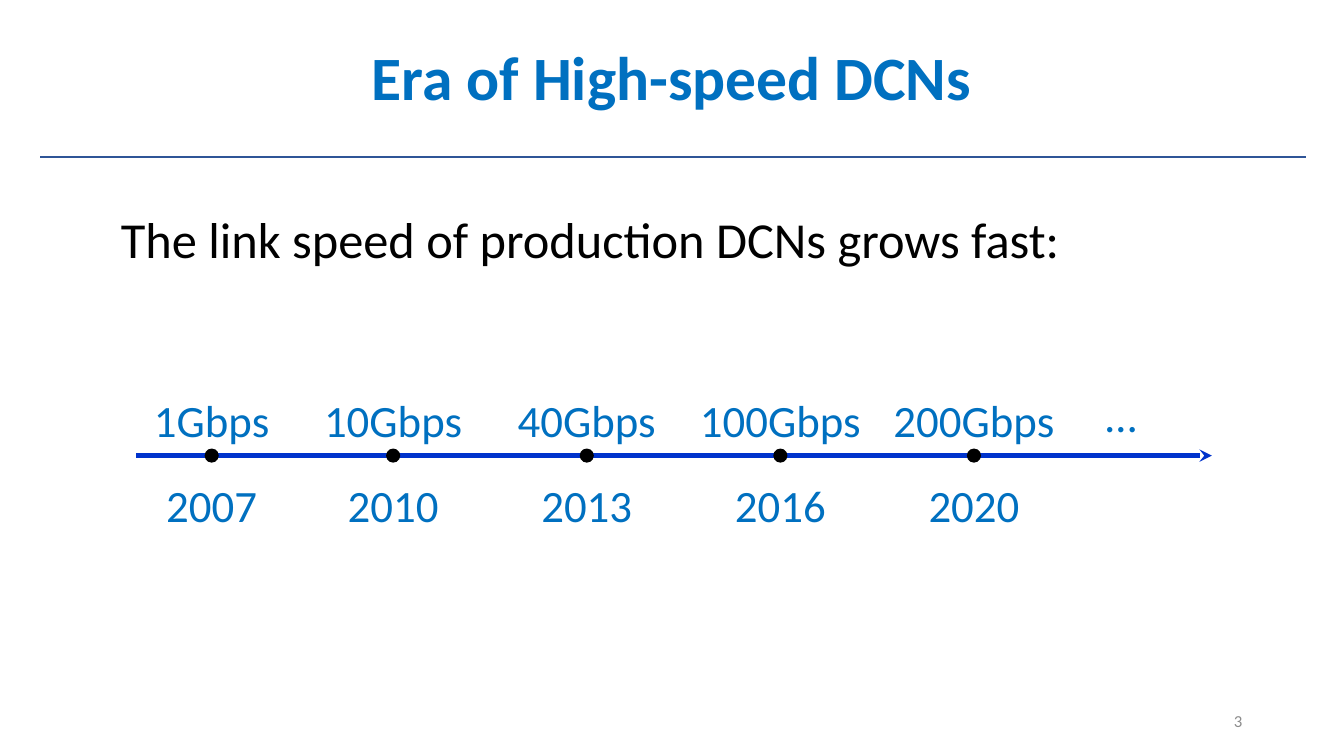
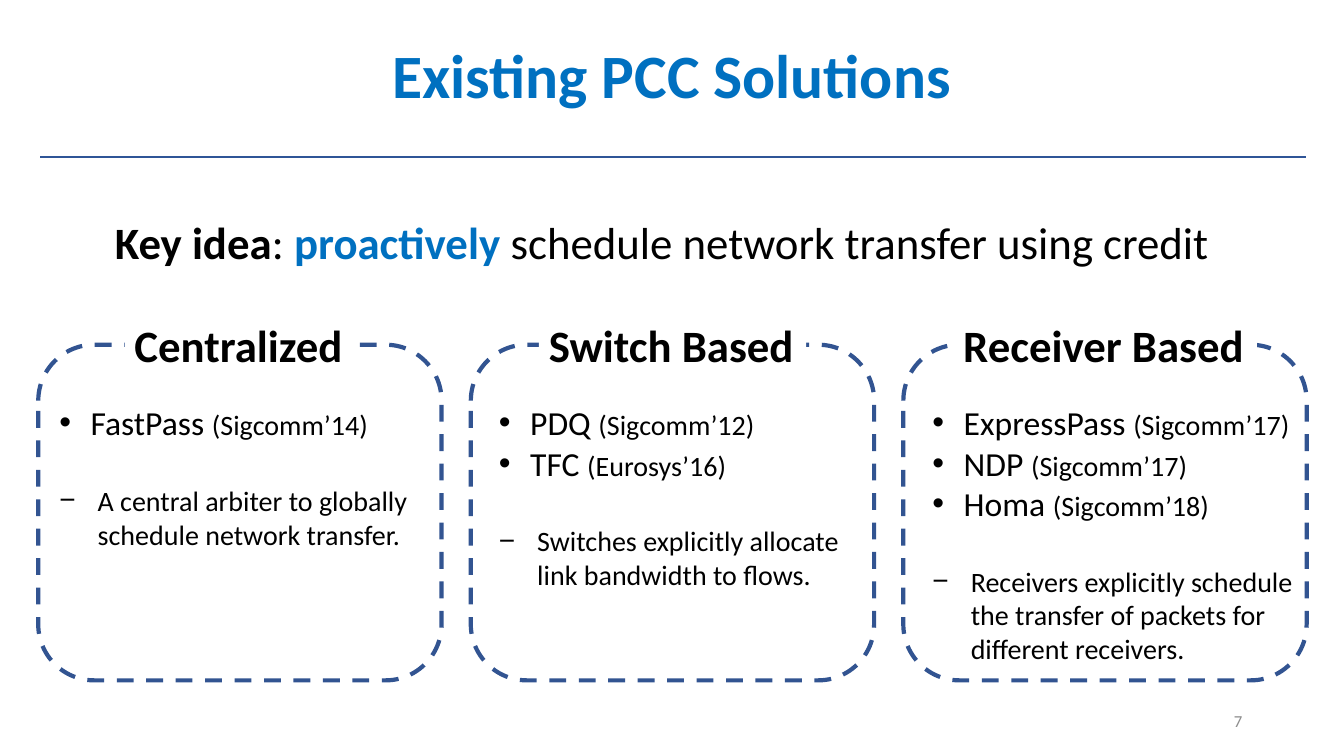
"""Build two slides on high-speed data centre networks and proactive congestion control."""
from dataclasses import dataclass
from typing import NamedTuple

from lxml.etree import SubElement
from pptx import Presentation
from pptx.dml.color import RGBColor
from pptx.enum.dml import MSO_LINE
from pptx.enum.shapes import MSO_CONNECTOR, MSO_SHAPE
from pptx.enum.text import MSO_ANCHOR, MSO_AUTO_SIZE, PP_ALIGN
from pptx.oxml.ns import qn
from pptx.util import Inches, Pt

FONT = "Calibri"
BLUE, BLACK, WHITE, GREY = "0070C0", "000000", "FFFFFF", "8C8C8C"
RULE, AXIS, DASH = "2F5597", "0033CC", "325491"
WIDTH, HEIGHT = 13.33, 7.5


class Run(NamedTuple):
    text: str
    size: float
    color: str = BLACK
    bold: bool = False


@dataclass(frozen=True)
class Para:
    runs: tuple[Run, ...]
    align: PP_ALIGN = PP_ALIGN.LEFT
    spacing: float = 1.0
    before: float = 0
    bullet: str = ""
    indent: float = 0


@dataclass(frozen=True)
class Milestone:
    x: float
    speed: str
    year: str


@dataclass(frozen=True)
class Card:
    heading: str
    heading_width: float
    inset: float
    body_height: float
    schemes: tuple[tuple[str, str], ...]
    summary: str


MILESTONES = (
    Milestone(2.1, "1Gbps", "2007"),
    Milestone(3.9, "10Gbps", "2010"),
    Milestone(5.82, "40Gbps", "2013"),
    Milestone(7.74, "100Gbps", "2016"),
    Milestone(9.66, "200Gbps", "2020"),
)
CARDS = (
    Card("Centralized", 2.29, 0.11, 2.29, (("FastPass", "Sigcomm’14"),),
         "A central arbiter to globally schedule network transfer."),
    Card("Switch Based", 2.65, 0.18, 2.29,
         (("PDQ", "Sigcomm’12"), ("TFC", "Eurosys’16")),
         "Switches explicitly allocate link bandwidth to flows."),
    Card("Receiver Based", 3.01, 0.19, 3.03,
         (("ExpressPass", "Sigcomm’17"), ("NDP", "Sigcomm’17"), ("Homa", "Sigcomm’18")),
         "Receivers explicitly schedule the transfer of packets for different receivers."),
)


def rgb(color: str) -> RGBColor:
    return RGBColor.from_string(color)


def write(sp, paras: list[Para], anchor=MSO_ANCHOR.TOP, wrap: bool = True) -> None:
    tf = sp.text_frame
    tf.word_wrap = wrap
    tf.vertical_anchor = anchor
    for i, para in enumerate(paras):
        p = tf.paragraphs[0] if i == 0 else tf.add_paragraph()
        p.alignment = para.align
        p.line_spacing = para.spacing
        p.space_before = Pt(para.before)
        if para.bullet:
            pPr = p._p.get_or_add_pPr()
            pPr.set("marL", str(Inches(para.indent)))
            pPr.set("indent", str(-Inches(para.indent)))
            SubElement(pPr, qn("a:buFont")).set("typeface", "Arial")
            SubElement(pPr, qn("a:buChar")).set("char", para.bullet)
        for run in para.runs:
            r = p.add_run()
            r.text = run.text
            r.font.name = FONT
            r.font.size = Pt(run.size)
            r.font.bold = run.bold
            r.font.color.rgb = rgb(run.color)


def add_text(s, x: float, y: float, w: float, h: float, paras: list[Para],
             anchor=MSO_ANCHOR.TOP) -> None:
    write(s.shapes.add_textbox(Inches(x), Inches(y), Inches(w), Inches(h)), paras, anchor)


def add_shape(s, kind, x: float, y: float, w: float, h: float, fill: str = ""):
    sp = s.shapes.add_shape(kind, Inches(x), Inches(y), Inches(w), Inches(h))
    sp.shadow.inherit = False
    sp.line.fill.background()
    if fill:
        sp.fill.solid()
        sp.fill.fore_color.rgb = rgb(fill)
    else:
        sp.fill.background()
    return sp


def add_line(s, x1: float, x2: float, y: float, color: str, width: float,
             arrow: bool = False) -> None:
    line = s.shapes.add_connector(
        MSO_CONNECTOR.STRAIGHT, Inches(x1), Inches(y), Inches(x2), Inches(y))
    line.line.color.rgb = rgb(color)
    line.line.width = Pt(width)
    spPr = line.element.spPr
    if arrow:
        SubElement(spPr.find(qn("a:ln")), qn("a:tailEnd")).set("type", "stealth")
    SubElement(spPr, qn("a:effectLst"))


def add_slide(prs, title: str, title_height: float, number: int):
    s = prs.slides.add_slide(prs.slide_layouts[6])
    add_line(s, 0.4, 12.95, 1.56, RULE, 1.5)
    add_text(s, 0, 0, WIDTH, title_height,
             [Para((Run(title, 44, BLUE, True),), PP_ALIGN.CENTER, 0.9)], MSO_ANCHOR.MIDDLE)
    add_text(s, 9.42, 6.95, 3, 0.4,
             [Para((Run(str(number), 12, GREY),), PP_ALIGN.RIGHT)], MSO_ANCHOR.MIDDLE)
    return s


def add_label(s, x: float, y: float, text: str) -> None:
    width = 1.81
    add_text(s, x - width / 2, y, width, 0.64,
             [Para((Run(text, 32, BLUE),), PP_ALIGN.CENTER)])


def add_milestone(s, milestone: Milestone, axis_y: float) -> None:
    dot = 0.14
    add_shape(s, MSO_SHAPE.OVAL, milestone.x - dot / 2, axis_y - dot / 2, dot, dot, BLACK)
    add_label(s, milestone.x, 3.85, milestone.speed)
    add_label(s, milestone.x, 4.69, milestone.year)


def add_card(s, card: Card, x: float) -> None:
    width = 4
    frame = add_shape(s, MSO_SHAPE.ROUNDED_RECTANGLE, x, 3.42, width, 3.33)
    frame.line.color.rgb = rgb(DASH)
    frame.line.width = Pt(3)
    frame.line.dash_style = MSO_LINE.DASH
    heading = add_shape(s, MSO_SHAPE.RECTANGLE, x + (width - card.heading_width) / 2, 3.1,
                        card.heading_width, 0.64, WHITE)
    write(heading, [Para((Run(card.heading, 32, bold=True),))], wrap=False)
    heading.text_frame.auto_size = MSO_AUTO_SIZE.SHAPE_TO_FIT_TEXT
    paras = [Para((Run(f"{name} ", 24), Run(f"({venue})", 20)), bullet="•", indent=0.31)
             for name, venue in card.schemes]
    paras.append(Para((Run(card.summary, 20),), before=29.3, bullet="−", indent=0.38))
    add_text(s, x + card.inset, 3.94, 3.81, card.body_height, paras)


def build_speed_slide(prs) -> None:
    s = add_slide(prs, "Era of High-speed DCNs", 1.59, 3)
    add_text(s, 1.1, 2.08, 11.12, 0.92,
             [Para((Run("The link speed of production DCNs grows fast:", 36),),
                   spacing=0.9, before=10)])
    axis_y = 4.52
    add_line(s, 1.35, 12.02, axis_y, AXIS, 3, arrow=True)
    for milestone in MILESTONES:
        add_milestone(s, milestone, axis_y)
    add_label(s, 11.12, 3.8, "…")


def build_solutions_slide(prs) -> None:
    s = add_slide(prs, "Existing PCC Solutions", 1.55, 7)
    add_text(s, 1.04, 2.08, 11.25, 0.64, [Para((
        Run("Key idea", 32, bold=True),
        Run(": ", 32),
        Run("proactively", 32, BLUE, True),
        Run(" schedule network transfer using credit", 32),
    ))])
    for i, card in enumerate(CARDS):
        add_card(s, card, 0.38 + i * 4.29)


def main() -> None:
    prs = Presentation()
    prs.slide_width, prs.slide_height = Inches(WIDTH), Inches(HEIGHT)
    build_speed_slide(prs)
    build_solutions_slide(prs)
    prs.save("out.pptx")


main()
